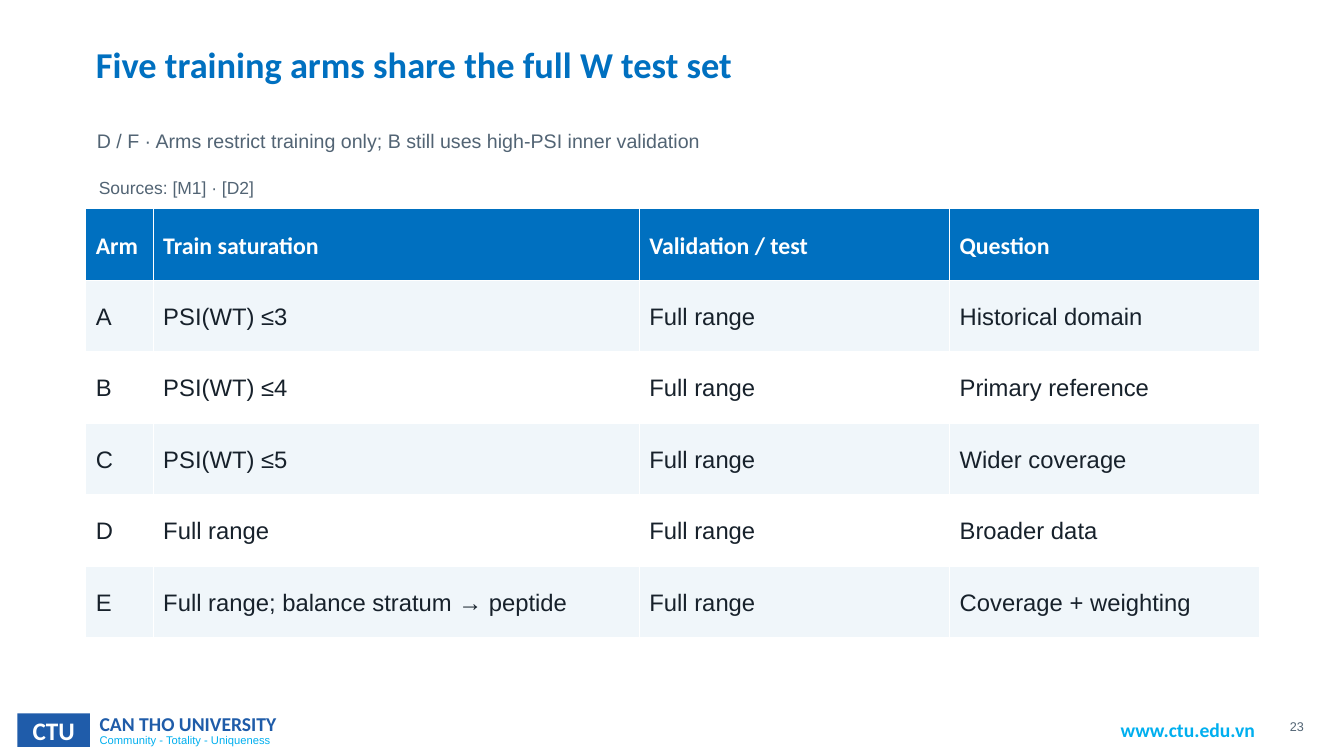
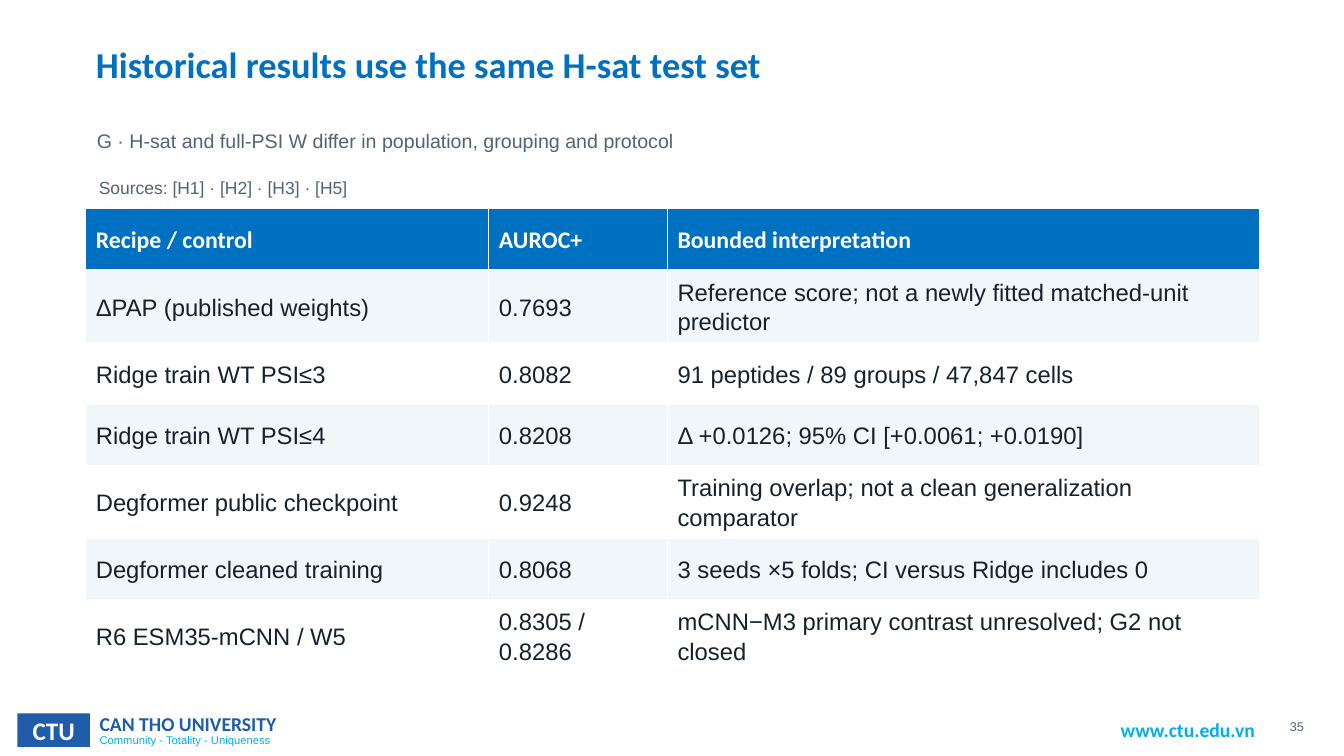
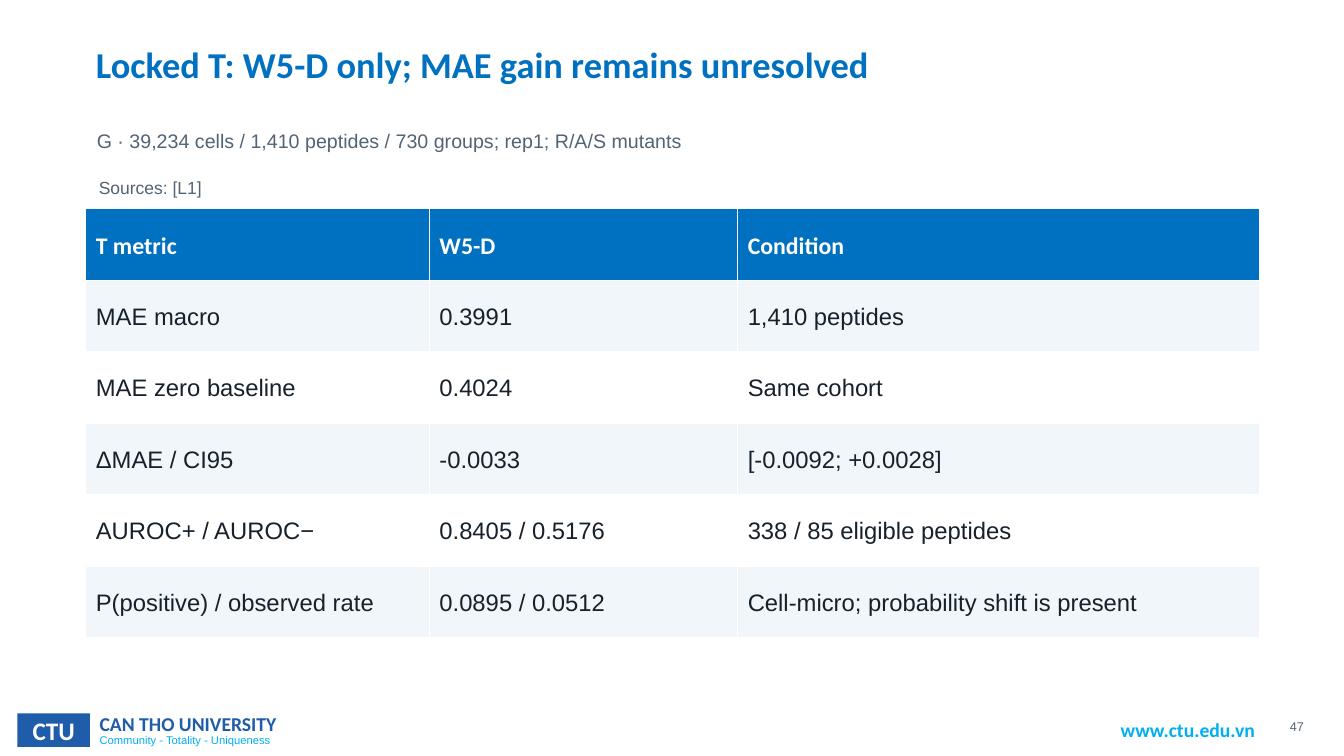
from dataclasses import dataclass

from pptx import Presentation
from pptx.dml.color import RGBColor
from pptx.enum.shapes import MSO_SHAPE
from pptx.enum.text import MSO_ANCHOR, PP_ALIGN
from pptx.slide import Slide
from pptx.util import Cm, Pt

# Shared look
WHITE = "FFFFFF"
HEADING_BLUE = "0070C0"
BADGE_BLUE = "1F5CAA"
NAME_BLUE = "1F5CA9"
SKY_BLUE = "00AFEF"
SLATE = "526474"
INK = "17212B"
BAND = "F0F6FA"
HEADING_FONT = "Calibri"
BODY_FONT = "Arial"

TABLE_LEFT, TABLE_TOP = 2.16, 5.26
TABLE_WIDTH, TABLE_HEIGHT = 29.59, 10.8


@dataclass(frozen=True)
class TextStyle:
    size: float
    color: str
    font: str = BODY_FONT
    bold: bool = False
    align: PP_ALIGN = PP_ALIGN.LEFT
    line_spacing: float = 1.0
    space_after: float = 0


@dataclass(frozen=True)
class Label:
    """A text box: place in centimetres, text style and insets."""

    left: float
    top: float
    width: float
    height: float
    style: TextStyle
    inset_x: float = 0.03
    inset_y: float = 0.03


@dataclass(frozen=True)
class TableSlide:
    number: int
    title: str
    subtitle: str
    sources: str
    column_widths: tuple[float, ...]
    rows: tuple[tuple[str, ...], ...]


# Labels filled in on each slide
TITLE = Label(2.39, 0.89, 29.59, 2.08,
              TextStyle(26, HEADING_BLUE, HEADING_FONT, True, line_spacing=1.13, space_after=3))
SUBTITLE = Label(2.41, 3.15, 29.34, 1.22,
                 TextStyle(14, SLATE, line_spacing=1.13, space_after=3))
SOURCES = Label(2.46, 4.37, 29.13, 0.69,
                TextStyle(12.5, SLATE, line_spacing=1.13, space_after=3))
PAGE_NUMBER = Label(32.13, 18.03, 0.76, 0.51,
                    TextStyle(9, SLATE, align=PP_ALIGN.RIGHT, line_spacing=1.13, space_after=3))

# Footer labels that never change
FOOTER = (
    ("www.ctu.edu.vn",
     Label(27.99, 17.96, 4.17, 0.86, TextStyle(14, SKY_BLUE, HEADING_FONT, True), 0.25, 0.13)),
    ("Community - Totality - Uniqueness",
     Label(2.26, 18.34, 5.33, 0.61, TextStyle(8, SKY_BLUE), 0.25, 0.13)),
    ("CAN THO UNIVERSITY",
     Label(2.26, 17.81, 7.67, 0.86, TextStyle(14, NAME_BLUE, HEADING_FONT, True), 0.25, 0.13)),
)
BADGE_STYLE = TextStyle(18, WHITE, HEADING_FONT, True, PP_ALIGN.CENTER)
HEADER_STYLE = TextStyle(17, WHITE, HEADING_FONT, True, line_spacing=1.1)
CELL_STYLE = TextStyle(17, INK, line_spacing=1.1)

SLIDES = (
    TableSlide(
        23,
        "Five training arms share the full W test set",
        "D / F · Arms restrict training only; B still uses high-PSI inner validation",
        "Sources: [M1] · [D2]",
        (1.7, 12.25, 7.82, 7.82),
        (
            ("Arm", "Train saturation", "Validation / test", "Question"),
            ("A", "PSI(WT) ≤3", "Full range", "Historical domain"),
            ("B", "PSI(WT) ≤4", "Full range", "Primary reference"),
            ("C", "PSI(WT) ≤5", "Full range", "Wider coverage"),
            ("D", "Full range", "Full range", "Broader data"),
            ("E", "Full range; balance stratum → peptide", "Full range", "Coverage + weighting"),
        ),
    ),
    TableSlide(
        35,
        "Historical results use the same H-sat test set",
        "G · H-sat and full-PSI W differ in population, grouping and protocol",
        "Sources: [H1] · [H2] · [H3] · [H5]",
        (10.16, 4.5, 14.93),
        (
            ("Recipe / control", "AUROC+", "Bounded interpretation"),
            ("ΔPAP (published weights)", "0.7693",
             "Reference score; not a newly fitted matched-unit predictor"),
            ("Ridge train WT PSI≤3", "0.8082", "91 peptides / 89 groups / 47,847 cells"),
            ("Ridge train WT PSI≤4", "0.8208", "Δ +0.0126; 95% CI [+0.0061; +0.0190]"),
            ("Degformer public checkpoint", "0.9248",
             "Training overlap; not a clean generalization comparator"),
            ("Degformer cleaned training", "0.8068",
             "3 seeds ×5 folds; CI versus Ridge includes 0"),
            ("R6 ESM35-mCNN / W5", "0.8305 / 0.8286",
             "mCNN−M3 primary contrast unresolved; G2 not closed"),
        ),
    ),
    TableSlide(
        47,
        "Locked T: W5-D only; MAE gain remains unresolved",
        "G · 39,234 cells / 1,410 peptides / 730 groups; rep1; R/A/S mutants",
        "Sources: [L1]",
        (8.66, 7.77, 13.16),
        (
            ("T metric", "W5-D", "Condition"),
            ("MAE macro", "0.3991", "1,410 peptides"),
            ("MAE zero baseline", "0.4024", "Same cohort"),
            ("ΔMAE / CI95", "-0.0033", "[-0.0092; +0.0028]"),
            ("AUROC+ / AUROC−", "0.8405 / 0.5176", "338 / 85 eligible peptides"),
            ("P(positive) / observed rate", "0.0895 / 0.0512",
             "Cell-micro; probability shift is present"),
        ),
    ),
)


def set_color(color_format, color: str) -> None:
    color_format.rgb = RGBColor.from_string(color)


def set_fill(filled, color: str) -> None:
    filled.fill.solid()
    set_color(filled.fill.fore_color, color)


def write(text_frame, text: str, style: TextStyle) -> None:
    text_frame.text = text
    paragraph = text_frame.paragraphs[0]
    paragraph.alignment = style.align
    paragraph.line_spacing = style.line_spacing
    paragraph.space_after = Pt(style.space_after)
    font = paragraph.runs[0].font
    font.name = style.font
    font.size = Pt(style.size)
    font.bold = style.bold
    set_color(font.color, style.color)


def add_label(slide: Slide, text: str, label: Label) -> None:
    shape = slide.shapes.add_textbox(
        Cm(label.left), Cm(label.top), Cm(label.width), Cm(label.height))
    text_frame = shape.text_frame
    text_frame.word_wrap = True
    text_frame.margin_left = text_frame.margin_right = Cm(label.inset_x)
    text_frame.margin_top = text_frame.margin_bottom = Cm(label.inset_y)
    write(text_frame, text, label.style)


def add_footer(slide: Slide, number: int) -> None:
    badge = slide.shapes.add_shape(
        MSO_SHAPE.RECTANGLE, Cm(0.44), Cm(17.98), Cm(1.83), Cm(0.84))
    badge.shadow.inherit = False
    badge.line.fill.background()
    set_fill(badge, BADGE_BLUE)
    badge.text_frame.vertical_anchor = MSO_ANCHOR.MIDDLE
    write(badge.text_frame, "CTU", BADGE_STYLE)
    for text, label in FOOTER:
        add_label(slide, text, label)
    add_label(slide, str(number), PAGE_NUMBER)


def add_data_table(slide: Slide, content: TableSlide) -> None:
    # The default table style supplies the white rules between cells
    table = slide.shapes.add_table(
        len(content.rows), len(content.column_widths),
        Cm(TABLE_LEFT), Cm(TABLE_TOP), Cm(TABLE_WIDTH), Cm(TABLE_HEIGHT)).table
    for column, width in zip(table.columns, content.column_widths):
        column.width = Cm(width)
    for row_index, values in enumerate(content.rows):
        is_header = row_index == 0
        fill = HEADING_BLUE if is_header else BAND if row_index % 2 else WHITE
        for column_index, value in enumerate(values):
            cell = table.cell(row_index, column_index)
            cell.vertical_anchor = MSO_ANCHOR.MIDDLE
            set_fill(cell, fill)
            write(cell.text_frame, value, HEADER_STYLE if is_header else CELL_STYLE)


def main() -> None:
    presentation = Presentation()
    presentation.slide_width = Cm(33.87)
    presentation.slide_height = Cm(19.05)
    blank_layout = presentation.slide_layouts[6]
    for content in SLIDES:
        slide = presentation.slides.add_slide(blank_layout)
        add_footer(slide, content.number)
        add_label(slide, content.title, TITLE)
        add_label(slide, content.subtitle, SUBTITLE)
        add_label(slide, content.sources, SOURCES)
        add_data_table(slide, content)
    presentation.save("out.pptx")


if __name__ == "__main__":
    main()
